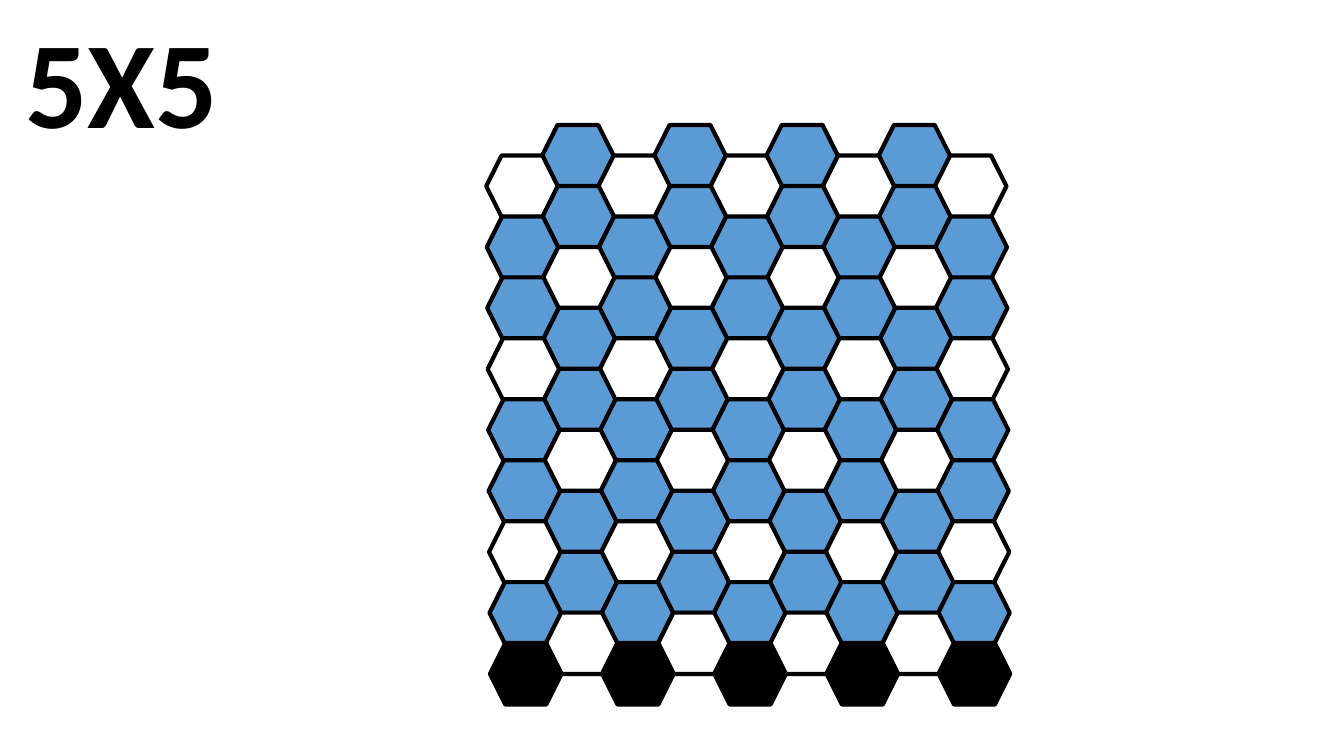
from pptx import Presentation
from pptx.dml.color import RGBColor
from pptx.enum.shapes import MSO_SHAPE
from pptx.enum.text import MSO_ANCHOR, MSO_AUTO_SIZE, PP_ALIGN
from pptx.util import Inches, Pt

HEXAGON = MSO_SHAPE.HEXAGON
TOP = MSO_ANCHOR.TOP
GROW = MSO_AUTO_SIZE.SHAPE_TO_FIT_TEXT
LEFT = PP_ALIGN.LEFT

BLACK = RGBColor(0x00, 0x00, 0x00)
WHITE = RGBColor(0xFF, 0xFF, 0xFF)
BLUE = RGBColor(0x5B, 0x9B, 0xD5)

TITLE_ONLY = 5
COLUMNS = 9
LAST_ROW = 17  # rows are half a cell apart
FIRST_LEFT, LAST_LEFT = 4.82, 9.27
FIRST_TOP, LAST_TOP = 1.24, 6.38
ROW_DRIFT = 0.04  # total rightward lean from first to last row
CELL_WIDTH, CELL_HEIGHT = 0.71, 0.61


class BoardSlide:
    """Holds the current slide and the style of its elements."""

    font_name = "Calibri"
    title_size = Pt(88)
    outline_width = Pt(3)

    def __init__(self, presentation):
        """Add a title-only slide to the presentation."""
        layout = presentation.slide_layouts[TITLE_ONLY]
        self.slide = presentation.slides.add_slide(layout)

    def title(self, text, left, top, width, height):
        """Place and format the title."""
        shape = self.slide.shapes.title
        shape.left, shape.top = Inches(left), Inches(top)
        shape.width, shape.height = Inches(width), Inches(height)
        frame = shape.text_frame
        frame.text = text
        frame.word_wrap = False
        frame.auto_size = GROW
        frame.vertical_anchor = TOP
        paragraph = frame.paragraphs[0]
        paragraph.alignment = LEFT
        paragraph.space_before = Pt(0)
        font = paragraph.font
        font.name, font.size, font.bold = self.font_name, self.title_size, True
        font.color.rgb = BLACK

    def cell(self, left, top, color):
        """Draw one hexagonal cell."""
        shape = self.slide.shapes.add_shape(
            HEXAGON, Inches(left), Inches(top),
            Inches(CELL_WIDTH), Inches(CELL_HEIGHT))
        shape.shadow.inherit = False
        shape.fill.solid()
        shape.fill.fore_color.rgb = color
        shape.line.color.rgb = BLACK
        shape.line.width = self.outline_width


def cell_color(row):
    """Return black for the base row, white for every third row, else blue."""
    if row == LAST_ROW:
        return BLACK
    return WHITE if row % 3 == 1 else BLUE


def draw_board(board):
    """Draw the honeycomb, with odd and even columns on alternate rows."""
    column_step = (LAST_LEFT - FIRST_LEFT) / (COLUMNS - 1)
    row_step = (LAST_TOP - FIRST_TOP) / LAST_ROW
    for row in range(LAST_ROW + 1):
        row_left = FIRST_LEFT + ROW_DRIFT * row / LAST_ROW
        for column in range((row + 1) % 2, COLUMNS, 2):
            board.cell(row_left + column * column_step,
                       FIRST_TOP + row * row_step, cell_color(row))


def main():
    """Build and save the presentation."""
    presentation = Presentation()
    presentation.slide_width = Inches(13.33)
    presentation.slide_height = Inches(7.5)
    board = BoardSlide(presentation)
    board.title("5X5", 0.15, 0, 2.13, 1.58)
    draw_board(board)
    presentation.save("out.pptx")


main()
